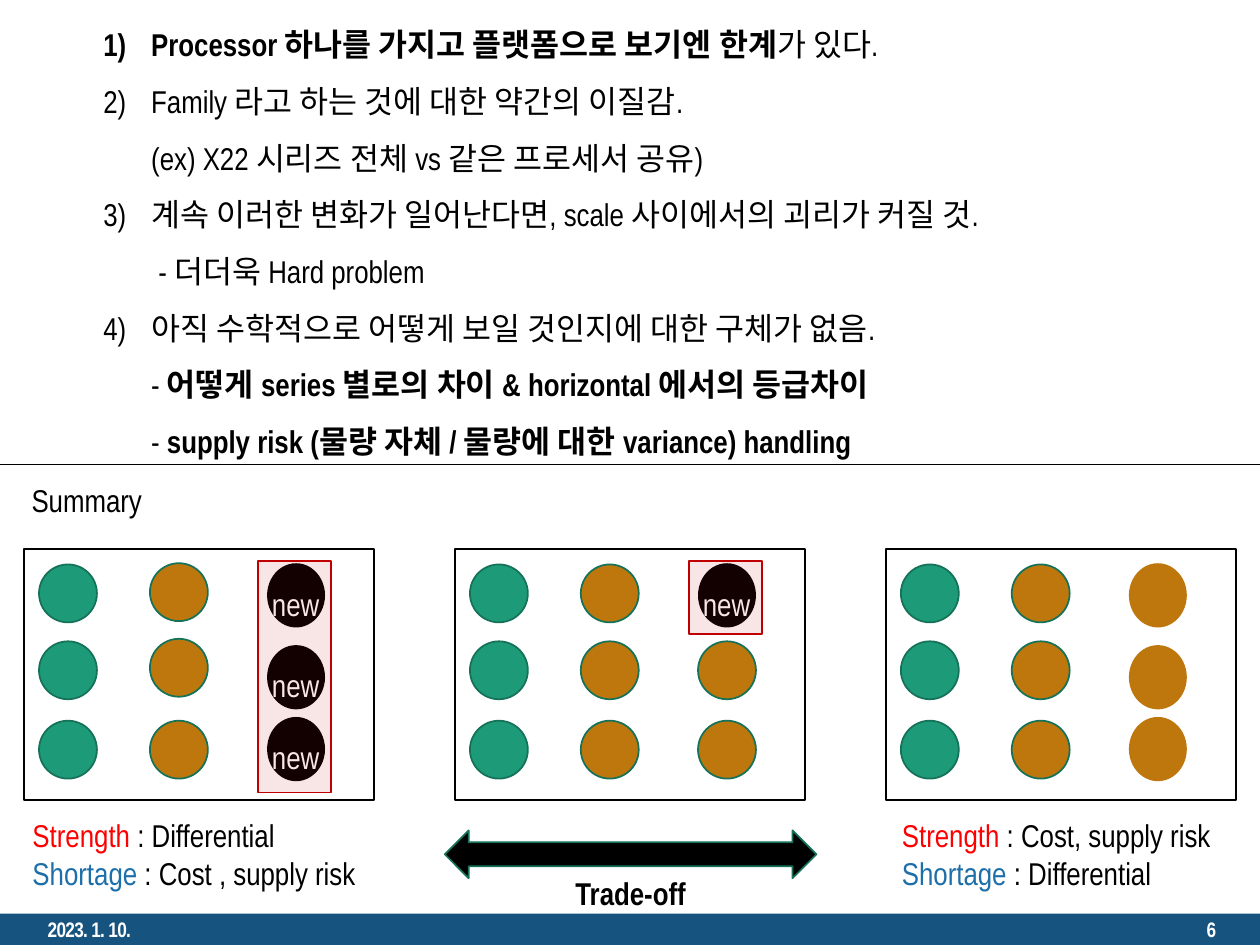
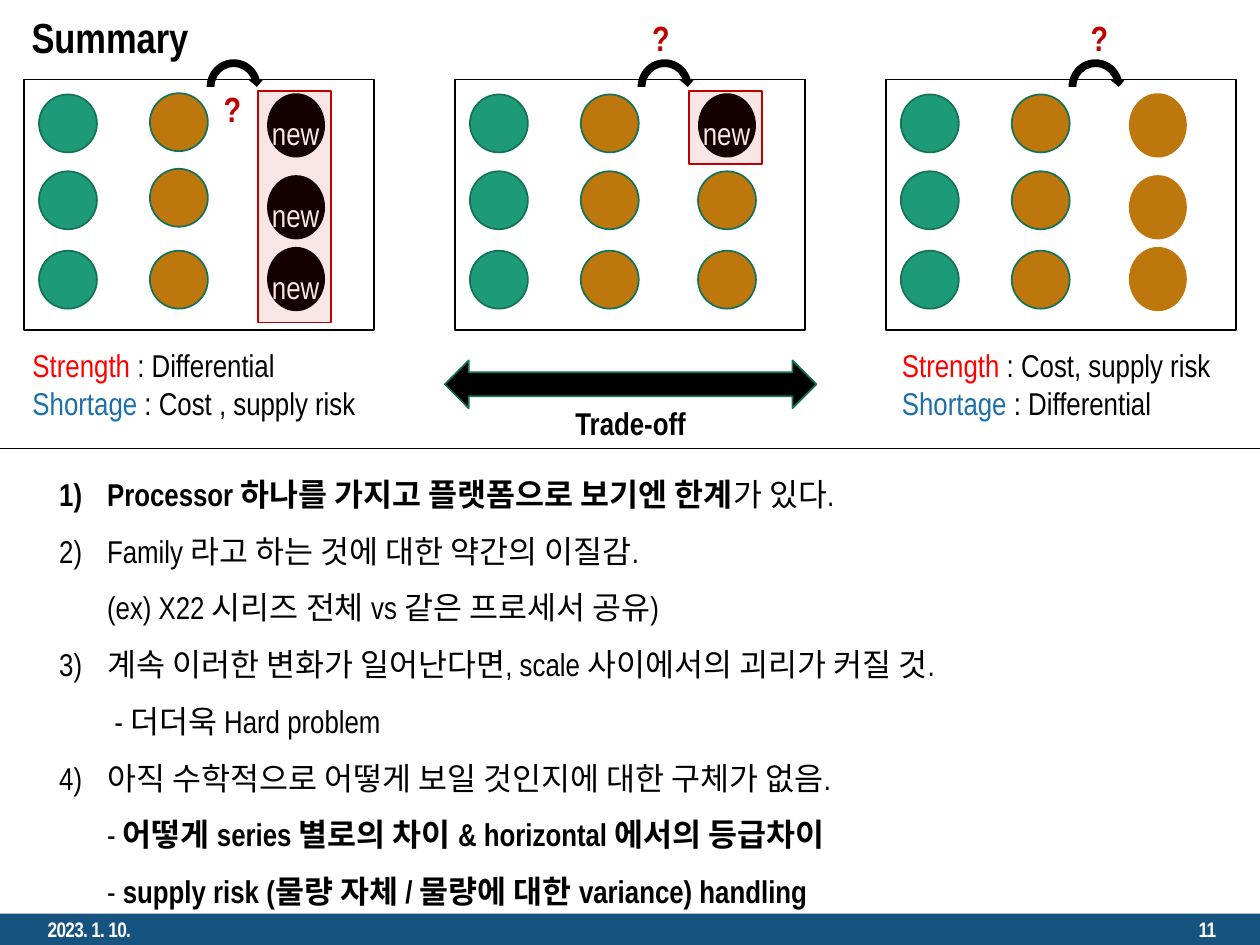
"""Build two summary slides about processor families and the series trade-off."""
import pptx
import pptx.dml.color
import pptx.enum.shapes
import pptx.enum.text
import pptx.oxml
import pptx.oxml.ns
import pptx.util

Inches = pptx.util.Inches
SHAPE = pptx.enum.shapes.MSO_SHAPE
ALIGN = pptx.enum.text.PP_ALIGN
ANCHOR = pptx.enum.text.MSO_ANCHOR
qn = pptx.oxml.ns.qn

FONT = "Arial Narrow"
COLORS = {
    "ink": "000000", "paper": "FFFFFF", "band": "16537F", "green": "1D9A78",
    "edge": "157259", "amber": "BD770C", "red": "FF0000", "blue": "1D6FA9",
    "alert": "C00000",
}
FOOTER = {"size": 12, "bold": True, "color": "paper"}
QUESTION = {"size": 20, "bold": True, "color": "alert"}

PANEL_LEFT, PANEL_STEP, PANEL_WIDTH, PANEL_HEIGHT = 0.19, 3.42, 2.78, 1.99
DOT = 0.46
TALL_DOT = 0.51
COLUMNS = (0.12, 1.0, 1.93)
ROWS = (0.12, 0.73, 1.36)
RAISED_ROWS = (0.11, 0.71, 1.36)
TALL_ROWS = (0.11, 0.76, 1.33)

POINTS = [
    [[("Processor 하나를 가지고 플랫폼으로 보기엔 한계", True), ("가 있다.", False)]],
    [[("Family 라고 하는 것에 대한 약간의 이질감.", False)],
     [("(ex) X22 시리즈 전체 vs 같은 프로세서 공유)", False)]],
    [[("계속 이러한 변화가 일어난다면, scale 사이에서의 괴리가 커질 것.", False)],
     [(" - 더더욱 Hard problem", False)]],
    [[("아직 수학적으로 어떻게 보일 것인지에 대한 구체가 없음.", False)],
     [("- ", False), ("어떻게 series 별로의 차이 & horizontal 에서의 등급차이", True)],
     [("- ", False), ("supply risk (물량 자체 / 물량에 대한 variance) handling", True)]],
]


def rgb(name):
    """Return the named palette colour."""
    return pptx.dml.color.RGBColor.from_string(COLORS[name])


def box(left, top, width, height):
    """Return a box in slide units."""
    return [Inches(value) for value in (left, top, width, height)]


def add_run(paragraph, text, size=18, bold=False, color="ink", spacing=None):
    """Append a formatted run to a paragraph."""
    run = paragraph.add_run()
    run.text = text
    style = {"name": FONT, "size": pptx.util.Pt(size), "bold": bold}
    for attribute, value in style.items():
        setattr(run.font, attribute, value)
    run.font.color.rgb = rgb(color)
    properties = run.font._element
    properties.append(properties.makeelement(qn("a:ea"), {"typeface": FONT}))
    if spacing is not None:
        properties.set("spc", str(spacing))


def add_text(shapes, bounds, lines, anchor=ANCHOR.TOP, align=ALIGN.LEFT, leading=1.0):
    """Add a text box whose lines are lists of (text, style) runs."""
    frame = shapes.add_textbox(*box(*bounds)).text_frame
    frame.word_wrap = True
    frame.vertical_anchor = anchor
    for index, runs in enumerate(lines):
        paragraph = frame.add_paragraph() if index else frame.paragraphs[0]
        paragraph.alignment = align
        paragraph.line_spacing = leading
        for text, style in runs:
            add_run(paragraph, text, **style)


def add_figure(shapes, kind, bounds, fill=None, line=None, opacity=None):
    """Add a flat preset shape with optional fill, outline and opacity."""
    figure = shapes.add_shape(kind, *box(*bounds))
    figure.shadow.inherit = False
    if fill:
        figure.fill.solid()
        figure.fill.fore_color.rgb = rgb(fill)
    else:
        figure.fill.background()
    if line:
        figure.line.color.rgb = rgb(line)
        figure.line.width = pptx.util.Pt(1)
    else:
        figure.line.fill.background()
    if opacity:
        color = figure._element.spPr.find(qn("a:solidFill"))[0]
        color.append(color.makeelement(qn("a:alpha"), {"val": str(opacity * 1000)}))


def place(placeholder, bounds, anchor):
    """Move a placeholder and return its prepared text frame."""
    for side, value in zip(("left", "top", "width", "height"), box(*bounds)):
        setattr(placeholder, side, value)
    frame = placeholder.text_frame
    settings = {"word_wrap": True, "vertical_anchor": anchor,
                "auto_size": pptx.enum.text.MSO_AUTO_SIZE.NONE}
    for attribute, value in settings.items():
        setattr(frame, attribute, value)
    return frame


def add_footer(slide, number):
    """Add the bottom band with date and slide number."""
    style = {**FOOTER, "spacing": -40}
    add_figure(slide.shapes, SHAPE.RECTANGLE, (0, 7.25, 10, 0.25), "band")
    for left, text, align in ((0.28, "2023. 1. 10.", ALIGN.LEFT),
                              (7.5, number, ALIGN.RIGHT)):
        add_text(slide.shapes, (left, 7.25, 2.25, 0.25), [[(text, style)]],
                 ANCHOR.MIDDLE, align)


def add_title(slide, top, size, bold):
    """Fill the title placeholder."""
    frame = place(slide.shapes.title, (0.15, top, 9.7, 0.48), ANCHOR.MIDDLE)
    frame.paragraphs[0].alignment = ALIGN.LEFT
    add_run(frame.paragraphs[0], "Summary", size, bold)


def add_points(slide, left, top):
    """Fill the body placeholder with the numbered points."""
    frame = place(slide.placeholders[1], (left, top, 7.91, 3.68), ANCHOR.TOP)
    for index, lines in enumerate(POINTS):
        paragraph = frame.add_paragraph() if index else frame.paragraphs[0]
        layout = {"line_spacing": 1.5, "space_before": pptx.util.Pt(0),
                  "alignment": ALIGN.LEFT}
        for attribute, value in layout.items():
            setattr(paragraph, attribute, value)
        properties = paragraph._p.get_or_add_pPr()
        properties.set("marL", str(Inches(0.38)))
        properties.set("indent", str(-Inches(0.38)))
        for tag, attributes in (("a:buFont", {"typeface": FONT}),
                                ("a:buAutoNum", {"type": "arabicParenR"})):
            properties.append(properties.makeelement(qn(tag), attributes))
        for line_index, runs in enumerate(lines):
            if line_index:
                paragraph.add_line_break()
            for text, bold in runs:
                add_run(paragraph, text, bold=bold)


def add_divider(slide, top):
    """Draw the thin rule between the two halves."""
    rule = slide.shapes.add_connector(pptx.enum.shapes.MSO_CONNECTOR.STRAIGHT,
                                      0, Inches(top), Inches(10), Inches(top))
    rule.line.color.rgb = rgb("ink")
    rule.line.width = pptx.util.Pt(0.5)
    properties = rule._element.spPr
    properties.append(properties.makeelement(qn("a:effectLst"), {}))


def add_panel(slide, left, top, middle_rows, last_column, highlight=None):
    """Draw one framed grid; last_column lists (row, height, fill, outline)."""
    shapes = slide.shapes.add_group_shape().shapes
    add_figure(shapes, SHAPE.RECTANGLE, (left, top, PANEL_WIDTH, PANEL_HEIGHT), line="ink")
    dots = [(COLUMNS[0], row, DOT, "green", "edge") for row in ROWS]
    dots += [(COLUMNS[1], row, DOT, "amber", "edge") for row in middle_rows]
    dots += [(COLUMNS[2], *dot) for dot in last_column]
    for column, row, height, fill, outline in dots:
        add_figure(shapes, SHAPE.OVAL, (left + column, top + row, DOT, height), fill, outline)
        if fill == "ink":
            add_text(shapes, (left + 1.87, top + row - 0.03, 0.62, 0.5),
                     [[("new", {"color": "paper"})]], leading=1.5)
    if highlight:
        add_figure(shapes, SHAPE.RECTANGLE, (left + 1.86, top + 0.09, 0.58, highlight),
                   "alert", "alert", 10)


def add_caption(slide, left, top, strength, shortage):
    """Write the strength and shortage of a panel."""
    add_text(slide.shapes, (left, top, 2.8, 0.71), [
        [("Strength", {"color": "red"}), (f" : {strength}", {})],
        [("Shortage", {"color": "blue"}), (f" : {shortage}", {})],
    ])


def add_comparison(slide, top):
    """Draw the three panels, their captions and the trade-off arrow."""
    lefts = [PANEL_LEFT + PANEL_STEP * index for index in range(3)]
    new = [(row, TALL_DOT, "ink", None) for row in TALL_ROWS]
    reused = [(row, TALL_DOT, "amber", None) for row in TALL_ROWS]
    mixed = new[:1] + [(row, DOT, "amber", "edge") for row in ROWS[1:]]
    add_panel(slide, lefts[0], top, RAISED_ROWS, new, 1.84)
    add_panel(slide, lefts[1], top, ROWS, mixed, 0.58)
    add_panel(slide, lefts[2], top, ROWS, reused)
    add_caption(slide, 0.16, top + 2.07, "Differential", "Cost , supply risk")
    add_caption(slide, 7.06, top + 2.07, "Cost, supply risk", "Differential")
    add_figure(slide.shapes, SHAPE.LEFT_RIGHT_ARROW, (3.53, top + 2.23, 2.95, 0.38),
               "ink", "edge")
    add_text(slide.shapes, (3.53, top + 2.53, 2.95, 0.4),
             [[("Trade-off", {"bold": True})]], align=ALIGN.CENTER)


def add_questions(slide, top):
    """Mark the step to the last column of each panel with an arrow and a question."""
    marks = ((1.5, 0.18), (4.9, -0.38), (8.38, -0.38))
    for index, (left, offset) in enumerate(marks):
        add_figure(slide.shapes, SHAPE.CIRCULAR_ARROW,
                   (1.61 + PANEL_STEP * index, top, 0.49, 0.5), "ink")
        add_text(slide.shapes, (left, top + offset, 0.69, 0.48), [[("?", QUESTION)]],
                 ANCHOR.MIDDLE, ALIGN.CENTER)


def add_summary_slide(deck, number, title, points, divider, panels):
    """Add a slide with title, points, divider, comparison and footer."""
    slide = deck.slides.add_slide(deck.slide_layouts[1])
    add_footer(slide, number)
    add_title(slide, *title)
    add_points(slide, *points)
    add_divider(slide, divider)
    add_comparison(slide, panels)
    return slide


def main():
    """Build and save the deck."""
    deck = pptx.Presentation()
    deck.slide_width, deck.slide_height = Inches(10), Inches(7.5)
    add_summary_slide(deck, "6", (3.73, 18, False), (0.72, 0), 3.69, 4.36)
    closing = add_summary_slide(deck, "11", (0.05, 24, True), (0.37, 3.57), 3.56, 0.63)
    add_questions(closing, 0.44)
    deck.save("out.pptx")


main()
